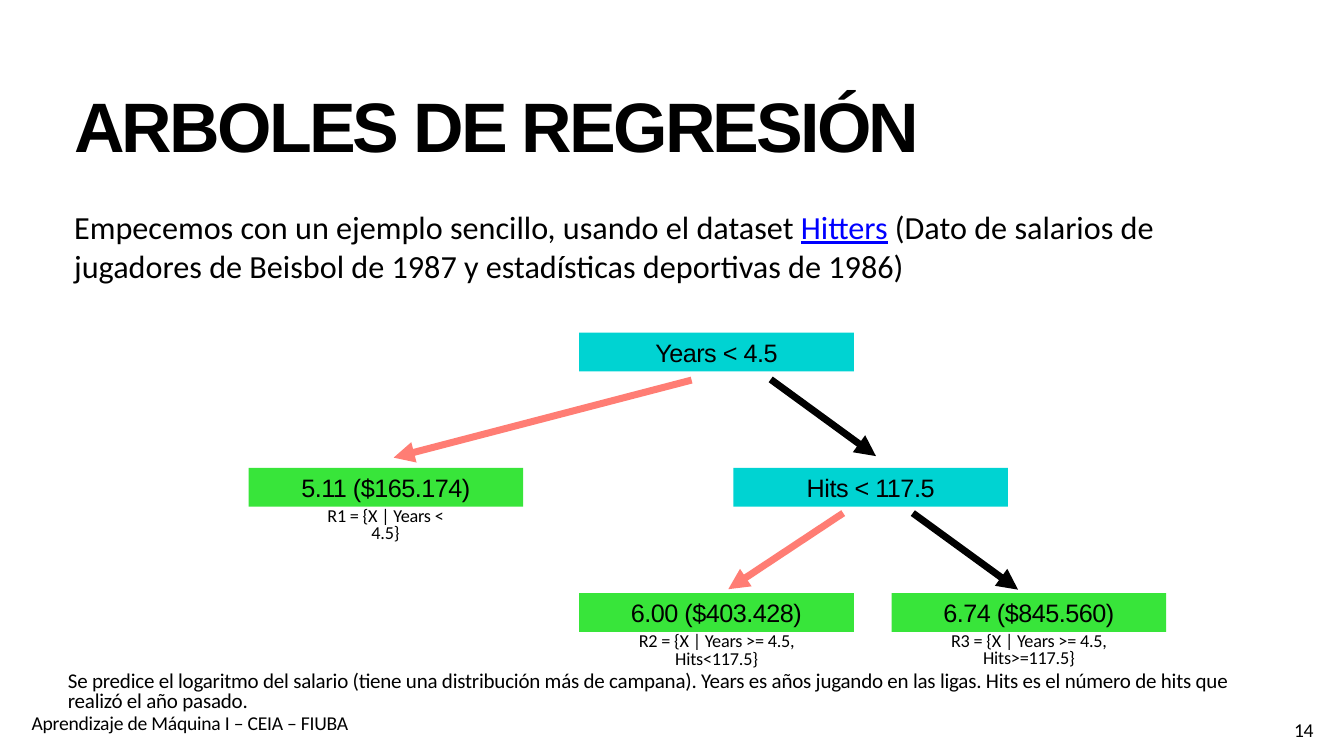
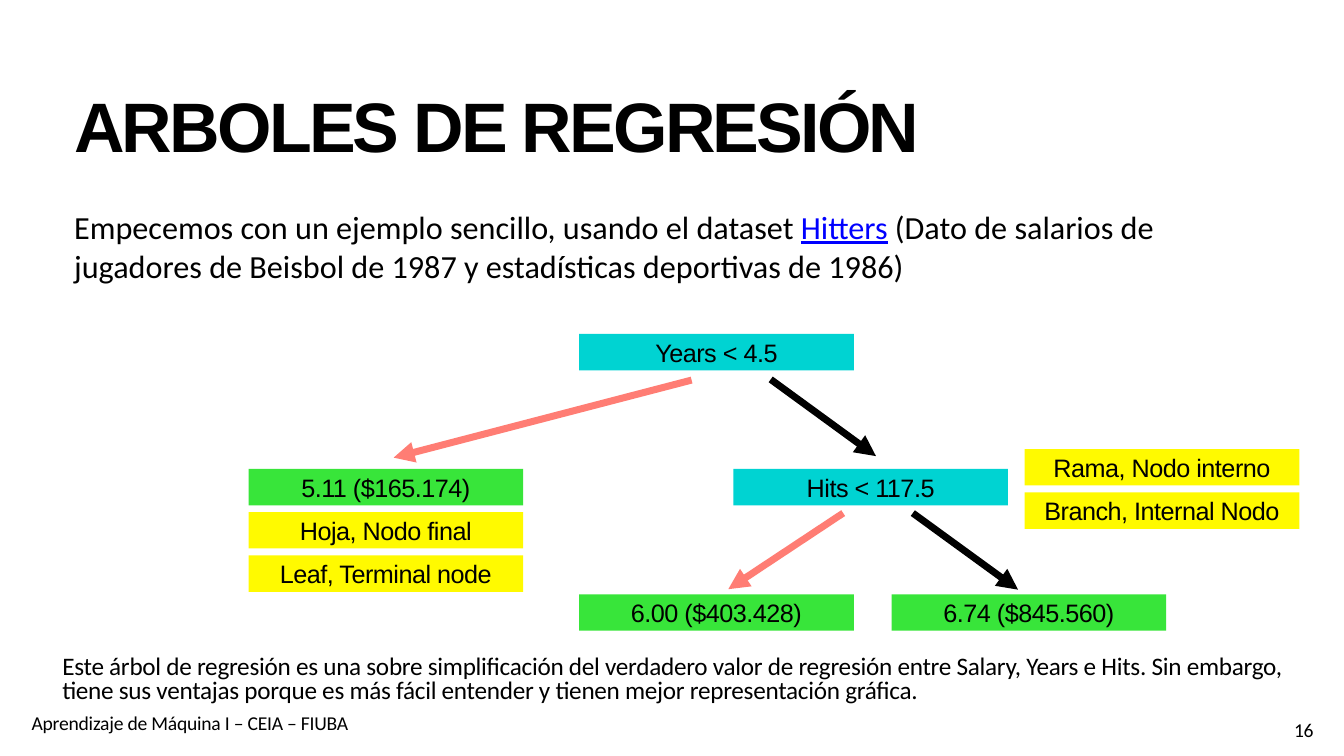
import pptx
import pptx.util
import pptx.dml.color
import pptx.enum.shapes
import pptx.enum.text
import pptx.oxml.ns
from lxml import etree

Pt = pptx.util.Pt
Align = pptx.enum.text.PP_ALIGN
Anchor = pptx.enum.text.MSO_ANCHOR
Fit = pptx.enum.text.MSO_AUTO_SIZE
qn = pptx.oxml.ns.qn

COLORS = {
    "ink": "000000",
    "link": "0000FF",
    "split": "00D3D2",
    "leaf": "38E53A",
    "tag": "FFFA00",
    "yes": "FF7D74",
}
HEAD, BODY = "Arial", "Calibri"
NODE_W = 392.4
ROWS = (503, 696, 875)
TAG_STEP = 62

NODES = [
    ("Years < 4.5", 827.3, ROWS[0], "split"),
    ("Hits < 117.5", 1047.6, ROWS[1], "split"),
    ("6.74 ($845.560)", 1273.7, ROWS[2], "leaf"),
    ("6.00 ($403.428)", 827.3, ROWS[2], "leaf"),
    ("5.11 ($165.174)", 355, ROWS[1], "leaf"),
]
ARROWS = [
    ((988, 543), (562.3, 653.8), "yes"),
    ((1101, 542), (1251.4, 651.6), "ink"),
    ((1304, 733), (1454.4, 842.4), "ink"),
    ((1204.6, 733), (1040.4, 841.7), "yes"),
]
REGIONS = [
    ("R1 = {X | Years < 4.5}", (447, 730, 207.4, 42.5)),
    ("R2 = {X | Years >= 4.5, Hits<117.5}", (859.7, 909.4, 328.3, 42.5)),
    ("R3 = {X | Years >= 4.5, Hits>=117.5}", (1299.6, 908.6, 340.6, 42.5)),
]
TAGS = [
    (355, 757.5, ("Hoja, Nodo final", "Leaf, Terminal node")),
    (1463.8, 667.5, ("Rama, Nodo interno", "Branch, Internal Nodo")),
]


def color(name):
    return pptx.dml.color.RGBColor.from_string(COLORS[name])


class Deck:
    def __init__(self):
        self.prs = pptx.Presentation()
        self.prs.slide_width = Pt(1920)
        self.prs.slide_height = Pt(1080)
        self.slide = None

    def page(self):
        self.slide = self.prs.slides.add_slide(self.prs.slide_layouts[6])

    def words(self, shape, text, size, font=BODY, bold=None, track=0,
              lines=None, align=Align.LEFT, pad=(4, 4), link=None):
        frame = shape.text_frame
        frame.margin_left = frame.margin_right = Pt(pad[0])
        frame.margin_top = frame.margin_bottom = Pt(pad[1])
        para = frame.paragraphs[0]
        para.alignment = align
        para.line_spacing = lines
        para.font.name = font
        para.font.size = Pt(size)
        para.font.bold = bold
        if not link:
            para.font.color.rgb = color("ink")
        for part in text:
            run = para.add_run()
            run.text = part
            if link:
                run.font.color.rgb = color("link" if part == link else "ink")
                run.font.underline = part == link
            if track:
                run.font._rPr.set("spc", str(round(track * 100)))
        return frame

    def label(self, box, text, size, wrap=True, mid=False, grow=False, **style):
        shape = self.slide.shapes.add_textbox(*map(Pt, box))
        frame = self.words(shape, text, size, **style)
        frame.word_wrap = wrap
        frame.vertical_anchor = Anchor.MIDDLE if mid else Anchor.TOP
        frame.auto_size = Fit.SHAPE_TO_FIT_TEXT if grow else Fit.NONE

    def node(self, text, left, mid, fill, high=52):
        kind = pptx.enum.shapes.MSO_SHAPE.RECTANGLE
        box = (left, mid - high / 2, NODE_W, high)
        shape = self.slide.shapes.add_shape(kind, *map(Pt, box))
        shape.shadow.inherit = False
        shape.fill.solid()
        shape.fill.fore_color.rgb = color(fill)
        shape.line.fill.background()
        frame = self.words(shape, [text], 36, font=HEAD, track=-0.7,
                           align=Align.CENTER)
        frame.word_wrap = True
        frame.vertical_anchor = Anchor.MIDDLE

    def arrow(self, start, end, hue):
        kind = pptx.enum.shapes.MSO_CONNECTOR.STRAIGHT
        line = self.slide.shapes.add_connector(kind, *map(Pt, start + end))
        line.line.width = Pt(10)
        line.line.color.rgb = color(hue)
        tail = etree.SubElement(line.line._get_or_add_ln(), qn("a:tailEnd"))
        tail.set("type", "triangle")
        etree.SubElement(line._element.spPr, qn("a:effectLst"))

    def intro(self):
        self.label((102, 127.5, 1722, 140), ["ARBOLES DE REGRESIÓN"], 100,
                   font=HEAD, bold=True, track=-4, lines=0.9)
        self.label((102, 292.5, 1722, 751), [
            "Empecemos con un ejemplo sencillo, usando el dataset ",
            "Hitters",
            " (Dato de salarios de jugadores de Beisbol de 1987"
            " y estadísticas deportivas de 1986)",
        ], 46, link="Hitters")

    def tree(self, high):
        for node in NODES:
            self.node(*node, high=high)
        for arrow in ARROWS:
            self.arrow(*arrow)

    def note(self, box, text, size, track):
        self.label(box, [text], size, mid=True, grow=True, track=track,
                   lines=0.8)

    def footer(self, number):
        style = dict(track=-0.3, lines=0.8, pad=(7.2, 3.6))
        self.label((38, 1018.8, 599, 36.7),
                   ["Aprendizaje de Máquina I – CEIA – FIUBA"], 28, **style)
        self.label((1818, 1028, 89.3, 39.6), [str(number)], 28,
                   align=Align.CENTER, **style)


def main():
    deck = Deck()

    deck.page()
    deck.intro()
    deck.tree(55.4)
    deck.note((93, 956, 1734.5, 66),
              "Se predice el logaritmo del salario (tiene una distribución más "
              "de campana). Years es años jugando en las ligas. Hits es el "
              "número de hits que realizó el año pasado.", 30, -0.3)
    for text, box in REGIONS:
        deck.label(box, [text], 26, wrap=False, mid=True, grow=True,
                   track=-0.3, lines=0.8, align=Align.CENTER)
    deck.footer(14)

    deck.page()
    deck.intro()
    deck.tree(52)
    for left, mid, names in TAGS:
        for row, name in enumerate(names):
            deck.node(name, left, mid + row * TAG_STEP, "tag")
    deck.note((85, 933, 1755.4, 78),
              "Este árbol de regresión es una sobre simplificación del "
              "verdadero valor de regresión entre Salary, Years e Hits. Sin "
              "embargo, tiene sus ventajas porque es más fácil entender y "
              "tienen mejor representación gráfica.", 36, -0.4)
    deck.footer(16)

    deck.prs.save("out.pptx")


if __name__ == "__main__":
    main()
